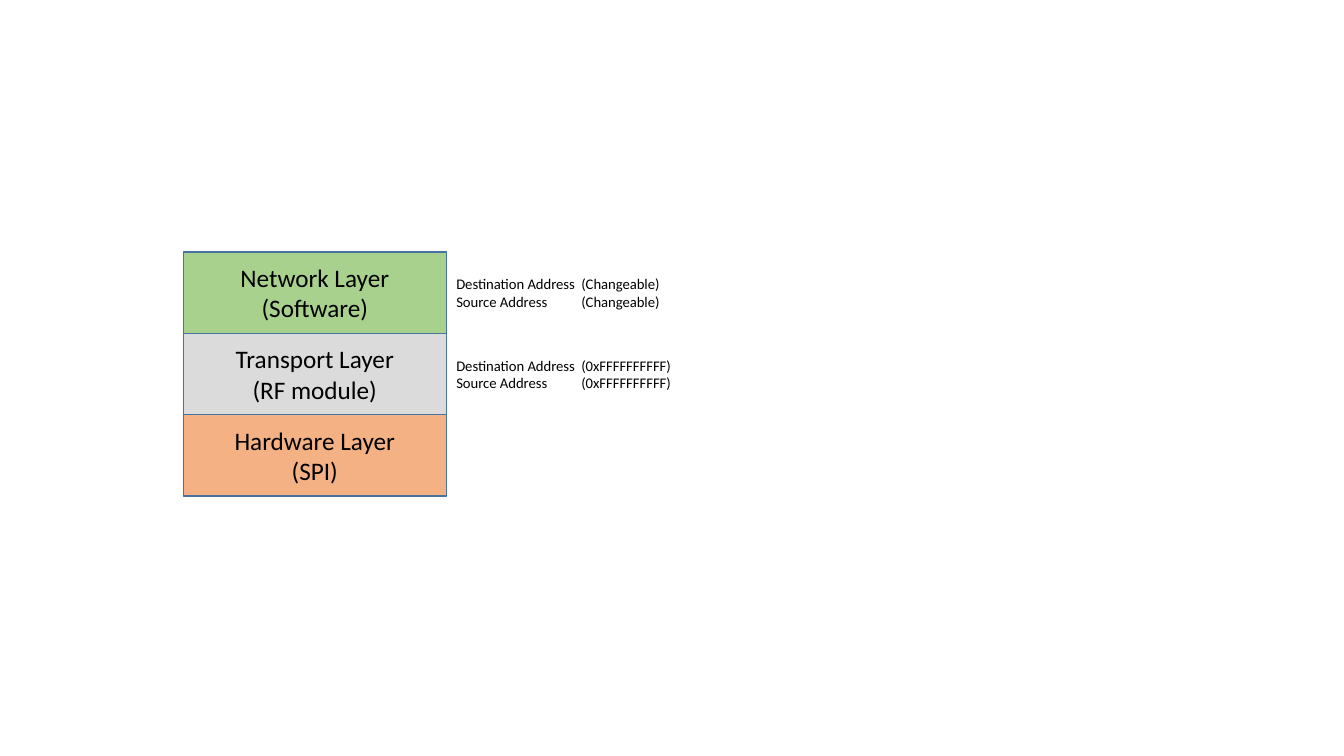
from pptx import Presentation
from pptx.dml.color import RGBColor
from pptx.enum.shapes import MSO_SHAPE as Shape
from pptx.enum.text import MSO_ANCHOR as Anchor, PP_ALIGN as Align
from pptx.oxml import parse_xml
from pptx.oxml.ns import nsdecls
from pptx.util import Cm, Pt

# Content, from top layer to bottom: title, detail, fill, address value
LAYERS = [
    ("Network Layer", "(Software)", "green", "(Changeable)"),
    ("Transport Layer", "(RF module)", "gray", "(0xFFFFFFFFFF)"),
    ("Hardware Layer", "(SPI)", "orange", None),
]
LABELS = ["Destination Address", "Source Address"]

THEME = {
    "font": "Calibri", "layer": 18, "note": 10.5,
    "text": "000000", "edge": "43739E",
    "green": "A9D18E", "gray": "DBDBDB", "orange": "F4B183",
}

# Layout in centimetres
LEFT, TOP = 4.62, 6.35
WIDE, HIGH = 6.63, 2.05
NOTE_W, NOTE_H = 6.17, 1.14
TAB = 3.15


def color(name):
    return RGBColor.from_string(THEME[name])


def write(frame, lines, size, align):
    frame.word_wrap = True
    frame.text = "\n".join(lines)
    for para in frame.paragraphs:
        para.alignment = align
        para.font.name = THEME["font"]
        para.font.size = Pt(THEME[size])
        para.font.color.rgb = color("text")


def add_layer(slide, top, lines, fill):
    box = slide.shapes.add_shape(
        Shape.RECTANGLE, Cm(LEFT), Cm(top), Cm(WIDE), Cm(HIGH))
    box.shadow.inherit = False
    box.fill.solid()
    box.fill.fore_color.rgb = color(fill)
    box.line.color.rgb = color("edge")
    box.line.width = Pt(1)
    box.text_frame.vertical_anchor = Anchor.MIDDLE
    write(box.text_frame, lines, "layer", Align.CENTER)


def add_note(slide, top, value):
    box = slide.shapes.add_textbox(
        Cm(LEFT + WIDE), Cm(top + (HIGH - NOTE_H) / 2), Cm(NOTE_W), Cm(NOTE_H))
    lines = [f"{label}\t{value}" for label in LABELS]
    write(box.text_frame, lines, "note", Align.LEFT)
    # Tab stop that lines up the values
    for para in box.text_frame.paragraphs:
        tabs = parse_xml(f'<a:tabLst {nsdecls("a")}>'
                         f'<a:tab pos="{Cm(TAB)}" algn="l"/></a:tabLst>')
        para._p.get_or_add_pPr().insert(0, tabs)


def main():
    deck = Presentation()
    deck.slide_width, deck.slide_height = Cm(33.87), Cm(19.05)
    slide = deck.slides.add_slide(deck.slide_layouts[6])

    # Stack of layers with the address notes beside it
    for row, (title, detail, fill, value) in enumerate(LAYERS):
        top = TOP + row * HIGH
        add_layer(slide, top, [title, detail], fill)
        if value:
            add_note(slide, top, value)

    deck.save("out.pptx")


if __name__ == "__main__":
    main()
